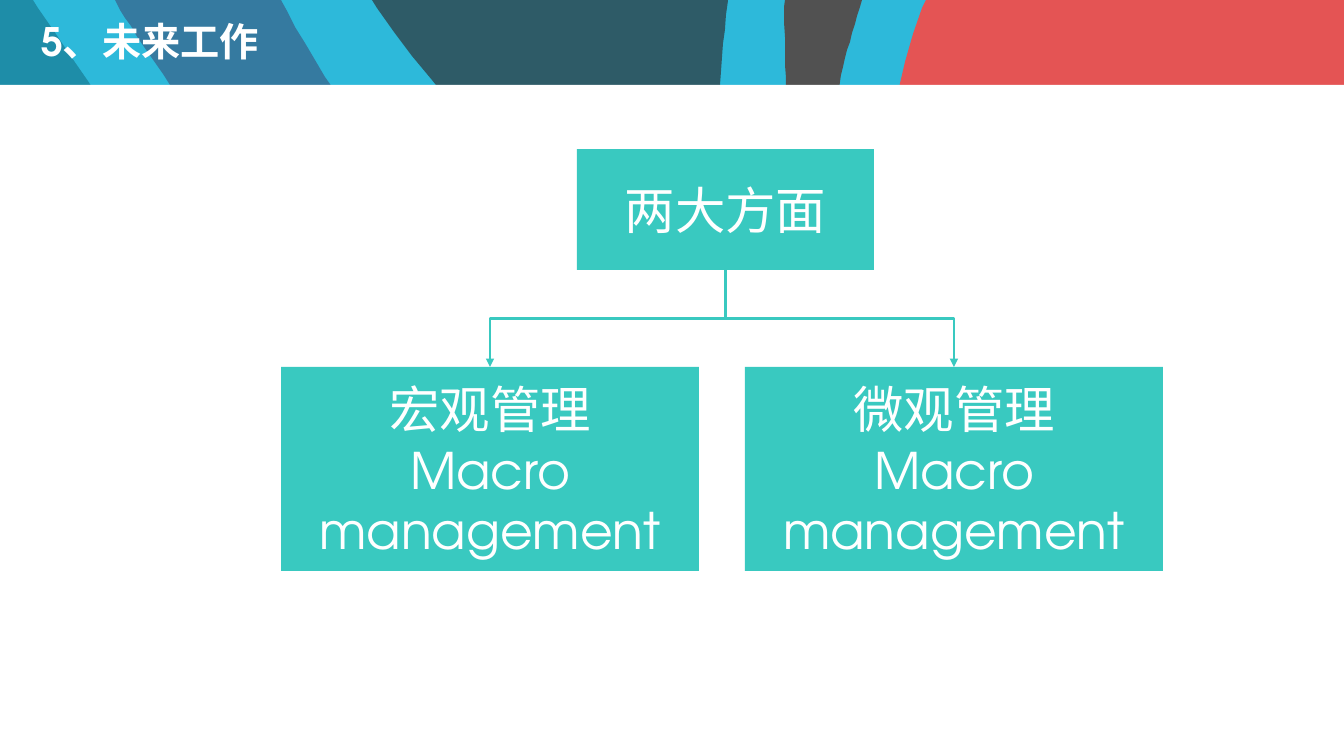
from lxml.etree import SubElement
from pptx import Presentation
from pptx.dml.color import RGBColor
from pptx.enum.shapes import MSO_CONNECTOR, MSO_SHAPE
from pptx.enum.text import MSO_ANCHOR, MSO_AUTO_SIZE, PP_ALIGN
from pptx.oxml.ns import qn
from pptx.util import Emu, Pt

EMU_PER_PX = 914400 / 100.8
WIDTH, HEIGHT, BAND = 1344, 756, 85
CURVE_STEPS = 10
BOTTOM, TOP = 2, 0
FONT = "TeX Gyre Adventor"
COLORS = {
    "cyan": "2DB9DA", "teal": "1E8DA8", "blue": "357AA0", "slate": "2E5B67",
    "grey": "515151", "red": "E45454", "white": "FFFFFF", "box": "39C9C0",
}
# Pebbles of the header: two numbers are a corner, six are a Bézier curve
PEBBLES = [
    ("teal", [(0, 0), (33, 0), (38, 8), (88, 81, 162, 191, 197, 235),
              (242, 294, 275, 279, 274, 307), (273, 337, 233, 384, 191, 407),
              (149, 429, 59, 436, 23, 443), (14, 444, 7, 448, 1, 452), (0, 453)]),
    ("blue", [(115, 0), (281, 0), (287, 11), (314, 62, 353, 127, 405, 175),
              (488, 252, 667, 327, 745, 399), (822, 473, 870, 616, 870, 616),
              (892, 653, 929, 701, 960, 745), (967, 756), (530, 756), (520, 747),
              (509, 736, 500, 725, 492, 715), (427, 628, 473, 498, 421, 394),
              (369, 291, 232, 170, 178, 96), (152, 58, 130, 27, 116, 2)]),
    ("slate", [(372, 0), (728, 0), (728, 1), (723, 48, 716, 99, 722, 134),
               (733, 205, 770, 270, 781, 307), (742, 306, 643, 289, 568, 225),
               (516, 180, 430, 85, 377, 8)]),
    ("grey", [(785, 0), (862, 0), (860, 7), (851, 36, 842, 65, 839, 90),
              (830, 156, 842, 271, 833, 279), (825, 286, 794, 213, 788, 134),
              (786, 105, 785, 57, 784, 7)]),
    ("red", [(926, 0), (1344, 0), (1344, 222), (1315, 229),
             (1269, 237, 1216, 241, 1170, 249), (1081, 266, 962, 253, 881, 279),
             (878, 219, 889, 91, 922, 8)]),
]


def px(value):
    return Emu(round(value * EMU_PER_PX))


def color(name):
    return RGBColor.from_string(COLORS[name])


def paint(shape, name):
    shape.shadow.inherit = False
    shape.fill.solid()
    shape.fill.fore_color.rgb = color(name)
    shape.line.fill.background()


def style_text(paragraph, size, alignment, bold=False):
    paragraph.alignment = alignment
    paragraph.font.name = FONT
    paragraph.font.size = Pt(size)
    paragraph.font.bold = bold
    paragraph.font.color.rgb = color("white")


def bezier(a, b, c, d, t):
    u = 1 - t
    return u**3 * a + 3 * u * u * t * b + 3 * u * t * t * c + t**3 * d


def trace(segments):
    """Turn corners and curves into a list of points."""
    points = []
    for segment in segments:
        if len(segment) == 2:
            points.append(segment)
            continue
        x, y = points[-1]
        for step in range(1, CURVE_STEPS + 1):
            t = step / CURVE_STEPS
            points.append((bezier(x, *segment[0::2], t), bezier(y, *segment[1::2], t)))
    return points


def add_pebble(slide, name, segments):
    points = trace(segments)
    builder = slide.shapes.build_freeform(*points[0], scale=EMU_PER_PX)
    builder.add_line_segments(points[1:], close=True)
    paint(builder.convert_to_shape(), name)


def add_rectangle(slide, name, left, top, width, height):
    shape = slide.shapes.add_shape(
        MSO_SHAPE.RECTANGLE, px(left), px(top), px(width), px(height))
    paint(shape, name)
    return shape


def add_box(slide, lines, *place):
    box = add_rectangle(slide, "box", *place)
    frame = box.text_frame
    frame.word_wrap = True
    frame.vertical_anchor = MSO_ANCHOR.MIDDLE
    frame.text = "\n".join(lines)
    for paragraph in frame.paragraphs:
        style_text(paragraph, 36, PP_ALIGN.CENTER)
    return box


def add_branch(slide, parent, child):
    """Elbow arrow from the bottom of parent to the top of child."""
    start_x, start_y = parent.left + parent.width // 2, parent.top + parent.height
    end_x, end_y = child.left + child.width // 2, child.top
    connector = slide.shapes.add_connector(
        MSO_CONNECTOR.ELBOW, start_x, start_y, end_x, end_y)
    connector.begin_connect(parent, BOTTOM)
    connector.end_connect(child, TOP)

    # A turned frame makes the elbow leave and arrive vertically
    drop, span = end_y - start_y, abs(end_x - start_x)
    connector.left = (start_x + end_x - drop) // 2
    connector.top = (start_y + end_y - span) // 2
    connector.width, connector.height = drop, span
    goes_right = end_x > start_x
    properties = connector._element.spPr
    frame = properties.find(qn("a:xfrm"))
    frame.set("rot", str((270 if goes_right else 90) * 60000))
    frame.set("flipH", "1" if goes_right else "0")

    connector.line.color.rgb = color("box")
    connector.line.width = Pt(2)
    SubElement(properties.find(qn("a:ln")), qn("a:tailEnd"), type="triangle")
    SubElement(properties, qn("a:effectLst"))


def add_title(slide, text):
    title = slide.shapes.title
    title.left, title.top, title.width, title.height = map(px, (31, 11, 855, 66))
    frame = title.text_frame
    frame.text = text
    frame.auto_size = MSO_AUTO_SIZE.NONE
    frame.vertical_anchor = MSO_ANCHOR.MIDDLE
    paragraph = frame.paragraphs[0]
    paragraph.line_spacing = 0.9
    style_text(paragraph, 28, PP_ALIGN.LEFT, bold=True)
    # Bring the title in front of the header band
    slide.shapes._spTree.append(title._element)


def main():
    presentation = Presentation()
    presentation.slide_width, presentation.slide_height = px(WIDTH), px(HEIGHT)
    slide = presentation.slides.add_slide(presentation.slide_layouts[5])

    # Header pebbles and white page
    slide.background.fill.solid()
    slide.background.fill.fore_color.rgb = color("cyan")
    for name, segments in PEBBLES:
        add_pebble(slide, name, segments)
    add_rectangle(slide, "white", 0, BAND, WIDTH, HEIGHT - BAND)
    add_title(slide, "5、未来工作")

    # Tree of the two aspects
    root = add_box(slide, ["两大方面"], 577, 149, 297, 121)
    for left, topic in ((281, "宏观管理"), (745, "微观管理")):
        child = add_box(slide, [topic, "Macro management"], left, 367, 418, 204)
        add_branch(slide, root, child)

    presentation.save("out.pptx")


if __name__ == "__main__":
    main()
